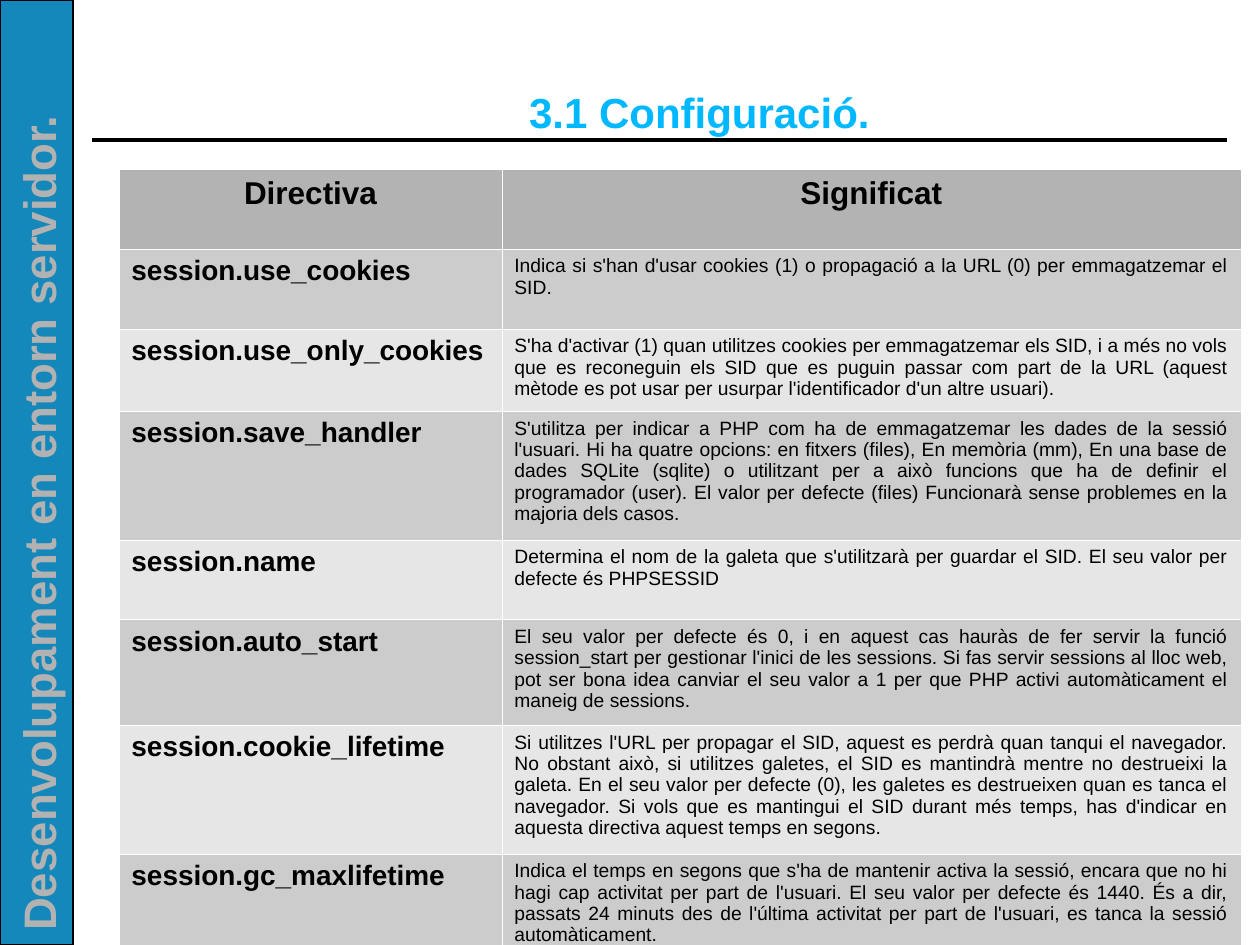
"""Build the slide on PHP session configuration directives."""
from lxml import etree
from pptx import Presentation
from pptx.dml.color import RGBColor
from pptx.enum.shapes import MSO_CONNECTOR, MSO_SHAPE
from pptx.enum.text import MSO_ANCHOR, PP_ALIGN
from pptx.oxml.ns import qn
from pptx.util import Cm, Pt

LEFT, CENTER, JUSTIFY = PP_ALIGN.LEFT, PP_ALIGN.CENTER, PP_ALIGN.JUSTIFY
TOP, MIDDLE = MSO_ANCHOR.TOP, MSO_ANCHOR.MIDDLE
RECTANGLE, STRAIGHT = MSO_SHAPE.RECTANGLE, MSO_CONNECTOR.STRAIGHT

BLACK = RGBColor(0x00, 0x00, 0x00)
BLUE = RGBColor(0x15, 0x88, 0xBB)
SKY = RGBColor(0x00, 0xB8, 0xFF)
SILVER = RGBColor(0xB2, 0xB2, 0xB2)
HEADER_GREY = RGBColor(0xB3, 0xB3, 0xB3)
BAND_GREYS = (RGBColor(0xCC, 0xCC, 0xCC), RGBColor(0xE6, 0xE6, 0xE6))
FONT = "Arial"

COURSE = "Desenvolupament en entorn servidor."
TITLE = "3.1 Configuració."
HEADINGS = ("Directiva", "Significat")
DIRECTIVES = [
    ("session.use_cookies", 1.61,
     "Indica si s'han d'usar cookies (1) o propagació a la URL (0) per "
     "emmagatzemar el SID."),
    ("session.use_only_cookies", 1.65,
     "S'ha d'activar (1) quan utilitzes cookies per emmagatzemar els SID, i a "
     "més no vols que es reconeguin els SID que es puguin passar com part de "
     "la URL (aquest mètode es pot usar per usurpar l'identificador d'un altre "
     "usuari)."),
    ("session.save_handler", 2.58,
     "S'utilitza per indicar a PHP com ha de emmagatzemar les dades de la "
     "sessió l'usuari. Hi ha quatre opcions: en fitxers (files), En memòria "
     "(mm), En una base de dades SQLite (sqlite) o utilitzant per a això "
     "funcions que ha de definir el programador (user). El valor per defecte "
     "(files) Funcionarà sense problemes en la majoria dels casos."),
    ("session.name", 1.61,
     "Determina el nom de la galeta que s'utilitzarà per guardar el SID. El "
     "seu valor per defecte és PHPSESSID"),
    ("session.auto_start", 2.13,
     "El seu valor per defecte és 0, i en aquest cas hauràs de fer servir la "
     "funció session_start per gestionar l'inici de les sessions. Si fas "
     "servir sessions al lloc web, pot ser bona idea canviar el seu valor a 1 "
     "per que PHP activi automàticament el maneig de sessions."),
    ("session.cookie_lifetime", 2.58,
     "Si utilitzes l'URL per propagar el SID, aquest es perdrà quan tanqui el "
     "navegador. No obstant això, si utilitzes galetes, el SID es mantindrà "
     "mentre no destrueixi la galeta. En el seu valor per defecte (0), les "
     "galetes es destrueixen quan es tanca el navegador. Si vols que es "
     "mantingui el SID durant més temps, has d'indicar en aquesta directiva "
     "aquest temps en segons."),
    ("session.gc_maxlifetime", 2.03,
     "Indica el temps en segons que s'ha de mantenir activa la sessió, encara "
     "que no hi hagi cap activitat per part de l'usuari. El seu valor per "
     "defecte és 1440. És a dir, passats 24 minuts des de l'última activitat "
     "per part de l'usuari, es tanca la sessió automàticament."),
]
HEADER_HEIGHT = 1.61
COLUMN_WIDTHS = (7.72, 14.89)


def write(frame, text, size, color=BLACK, bold=True, align=LEFT):
    """Put one formatted paragraph into a text frame."""
    paragraph = frame.paragraphs[0]
    paragraph.alignment = align
    run = paragraph.add_run()
    run.text = text
    run.font.name = FONT
    run.font.size = Pt(size)
    run.font.bold = bold
    run.font.color.rgb = color


def add_label(slide, box, margins, anchor, text, **style):
    """Add a wrapped text box and return it."""
    label = slide.shapes.add_textbox(*(Cm(length) for length in box))
    frame = label.text_frame
    frame.word_wrap = True
    frame.vertical_anchor = anchor
    frame.margin_left = frame.margin_right = Cm(margins[0])
    frame.margin_top = frame.margin_bottom = Cm(margins[1])
    write(frame, text, **style)
    return label


def style_cell(cell, fill):
    """Give a cell hairline white borders, margins and a fill."""
    properties = cell._tc.get_or_add_tcPr()
    for side in ("a:lnL", "a:lnR", "a:lnT", "a:lnB"):
        border = etree.SubElement(properties, qn(side), w="720")
        solid = etree.SubElement(border, qn("a:solidFill"))
        etree.SubElement(solid, qn("a:srgbClr"), val="FFFFFF")
    cell.margin_left = cell.margin_right = Cm(0.25)
    cell.margin_top = cell.margin_bottom = Cm(0.13)
    cell.fill.solid()
    cell.fill.fore_color.rgb = fill


def add_frame(slide):
    """Draw the title rule, the side bar, the course name and the title."""
    rule = slide.shapes.add_connector(STRAIGHT, Cm(1.85), Cm(2.82), Cm(24.74), Cm(2.82))
    rule.line.color.rgb = BLACK
    rule.line.width = Pt(0)
    etree.SubElement(rule._element.spPr, qn("a:effectLst"))

    bar = slide.shapes.add_shape(RECTANGLE, 0, 0, Cm(1.48), Cm(19.05))
    bar.shadow.inherit = False
    bar.fill.solid()
    bar.fill.fore_color.rgb = BLUE
    bar.line.color.rgb = BLACK
    bar.line.width = Pt(1)

    course = add_label(slide, (-8.13, 9.5, 17.73, 1.3), (0.25, 0.13), TOP,
                       COURSE, size=26, color=SILVER)
    course.rotation = 270
    add_label(slide, (3.6, 1.5, 21, 1.5), (0, 0), MIDDLE,
              TITLE, size=24, color=SKY, align=CENTER)


def add_directives(slide):
    """Add the table of directives."""
    heights = [HEADER_HEIGHT] + [height for _, height, _ in DIRECTIVES]
    table_frame = slide.shapes.add_table(
        len(heights), len(COLUMN_WIDTHS), Cm(2.4), Cm(3.41),
        Cm(sum(COLUMN_WIDTHS)), Cm(sum(heights)))
    table = table_frame.table
    for column, width in zip(table.columns, COLUMN_WIDTHS):
        column.width = Cm(width)
    for row, height in zip(table.rows, heights):
        row.height = Cm(height)

    for index, heading in enumerate(HEADINGS):
        cell = table.cell(0, index)
        style_cell(cell, HEADER_GREY)
        write(cell.text_frame, heading, size=18, align=CENTER)
    for index, (name, _, meaning) in enumerate(DIRECTIVES):
        name_cell, meaning_cell = table.rows[index + 1].cells
        for cell in (name_cell, meaning_cell):
            style_cell(cell, BAND_GREYS[index % 2])
        write(name_cell.text_frame, name, size=16)
        write(meaning_cell.text_frame, meaning, size=11, bold=False, align=JUSTIFY)


def main():
    """Assemble and save the presentation."""
    presentation = Presentation()
    presentation.slide_width = Cm(25.4)
    presentation.slide_height = Cm(19.05)
    slide = presentation.slides.add_slide(presentation.slide_layouts[6])
    add_frame(slide)
    add_directives(slide)
    presentation.save("out.pptx")


if __name__ == "__main__":
    main()
